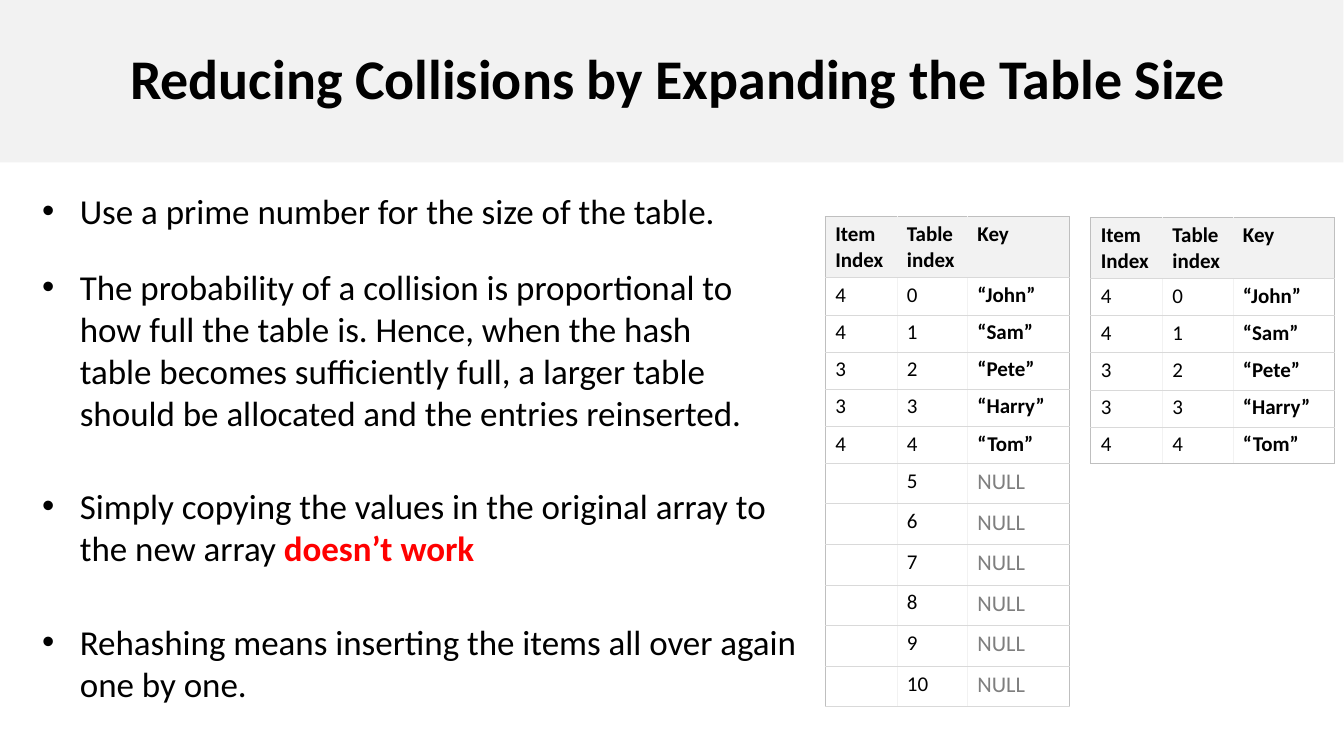
import pptx
import pptx.dml.color
import pptx.enum.shapes
import pptx.enum.text
import pptx.oxml.ns
import pptx.util
from lxml import etree

Pt = pptx.util.Pt
RGBColor = pptx.dml.color.RGBColor

BLACK = RGBColor(0x00, 0x00, 0x00)
WHITE = RGBColor(0xFF, 0xFF, 0xFF)
RED = RGBColor(0xFF, 0x00, 0x00)
NULL_GRAY = RGBColor(0x7F, 0x7F, 0x7F)
PALE_GRAY = RGBColor(0xF2, 0xF2, 0xF2)
ROW_LINE = RGBColor(0xD9, 0xD9, 0xD9)
EDGE_LINE = RGBColor(0xBF, 0xBF, 0xBF)

# Border styles: colour and width
OUTER = (EDGE_LINE, 0.75)
ROW = (ROW_LINE, 0.45)
COLUMN = (PALE_GRAY, 0.45)

HEADINGS = ("Item Index", "Table index", "Key")
ITEMS = [("4", "0", "“John”"), ("4", "1", "“Sam”"), ("3", "2", "“Pete”"),
         ("3", "3", "“Harry”"), ("4", "4", "“Tom”")]
EMPTY_SLOTS = [("", str(index), "NULL") for index in range(5, 11)]

COLUMN_WIDTHS = (51.2, 50.4, 72.7)
HEADING_HEIGHT = 43.6
ITEM_HEIGHT = 26.5
EMPTY_HEIGHT = 29

# Bullets: top, width, height, spans of (text, format)
BULLETS = [
    (131.8, 515, 37.4, [("Use a prime number for the size of the table.", {})]),
    (185.8, 529, 127.4, [(
        "The probability of a collision is proportional to how full the table is. "
        "Hence, when the hash table becomes sufficiently full, a larger table "
        "should be allocated and the entries reinserted.", {})]),
    (342.7, 567, 67.7, [
        ("Simply copying the values in the original array to the new array ", {}),
        ("doesn’t work", {"color": RED, "bold": True})]),
    (439.9, 567, 67.7, [(
        "Rehashing means inserting the items all over again one by one.", {})]),
]


def add_text(para, text, size=25, color=BLACK, bold=False):
    span = para.add_run()
    span.text = text
    span.font.name = "Calibri"
    span.font.size = Pt(size)
    span.font.color.rgb = color
    span.font.bold = bold


def add_child(parent, tag, **attributes):
    return etree.SubElement(parent, pptx.oxml.ns.qn(tag), **attributes)


def add_title(page, text):
    band = page.shapes.add_shape(pptx.enum.shapes.MSO_SHAPE.RECTANGLE,
                                 0, 0, Pt(960), Pt(116))
    band.shadow.inherit = False
    band.fill.solid()
    band.fill.fore_color.rgb = PALE_GRAY
    band.line.fill.background()
    frame = band.text_frame
    frame.margin_left = Pt(93)
    frame.word_wrap = True
    frame.vertical_anchor = pptx.enum.text.MSO_ANCHOR.MIDDLE
    para = frame.paragraphs[0]
    para.alignment = pptx.enum.text.PP_ALIGN.LEFT
    para.line_spacing = 0.9
    add_text(para, text, size=40, bold=True)


def add_bullet(page, top, width, height, spans):
    box = page.shapes.add_textbox(Pt(23), Pt(top), Pt(width), Pt(height))
    box.text_frame.word_wrap = True
    para = box.text_frame.paragraphs[0]
    settings = para._p.get_or_add_pPr()
    settings.set("marL", str(Pt(27)))
    settings.set("indent", str(-Pt(27)))
    color = add_child(settings, "a:buClr")
    add_child(color, "a:srgbClr", val=str(BLACK))
    add_child(settings, "a:buFont", typeface="Arial")
    add_child(settings, "a:buChar", char="•")
    for text, style in spans:
        add_text(para, text, **style)


def set_borders(cell, left, right, top, bottom):
    settings = cell._tc.get_or_add_tcPr()
    borders = {"a:lnL": left, "a:lnR": right, "a:lnT": top, "a:lnB": bottom}
    for tag, (color, width) in borders.items():
        line = add_child(settings, tag, w=str(Pt(width)))
        fill = add_child(line, "a:solidFill")
        add_child(fill, "a:srgbClr", val=str(color))


def add_hash_table(page, left, top, entries, bottom_edge):
    rows = [HEADINGS] + entries
    heights = [HEADING_HEIGHT] + [ITEM_HEIGHT if entry[0] else EMPTY_HEIGHT
                                  for entry in entries]
    last_row, last_column = len(rows) - 1, len(HEADINGS) - 1
    table = page.shapes.add_table(len(rows), len(HEADINGS), Pt(left), Pt(top),
                                  Pt(sum(COLUMN_WIDTHS)), Pt(sum(heights))).table
    table.first_row = False
    table.horz_banding = False
    for column, width in zip(table.columns, COLUMN_WIDTHS):
        column.width = Pt(width)
    for i, values in enumerate(rows):
        table.rows[i].height = Pt(heights[i])
        for j, value in enumerate(values):
            cell = table.cell(i, j)
            set_borders(cell,
                        left=OUTER if j == 0 else COLUMN,
                        right=OUTER if j == last_column else COLUMN,
                        top=OUTER if i == 0 else ROW,
                        bottom=bottom_edge if i == last_row else ROW)
            cell.fill.solid()
            cell.fill.fore_color.rgb = PALE_GRAY if i == 0 else WHITE
            para = cell.text_frame.paragraphs[0]
            if value == "NULL":
                add_text(para, value, size=16, color=NULL_GRAY)
            elif value:
                add_text(para, value, size=15, bold=i == 0 or j == last_column)


def main():
    deck = pptx.Presentation()
    deck.slide_width = Pt(960.4)
    deck.slide_height = Pt(540)
    page = deck.slides.add_slide(deck.slide_layouts[6])

    add_title(page, "Reducing Collisions by Expanding the Table Size")
    for bullet in BULLETS:
        add_bullet(page, *bullet)

    # Full table on the right, expanded table beside it
    add_hash_table(page, 779.4, 155.4, ITEMS, bottom_edge=OUTER)
    add_hash_table(page, 589.7, 154.8, ITEMS + EMPTY_SLOTS, bottom_edge=ROW)

    deck.save("out.pptx")


if __name__ == "__main__":
    main()
